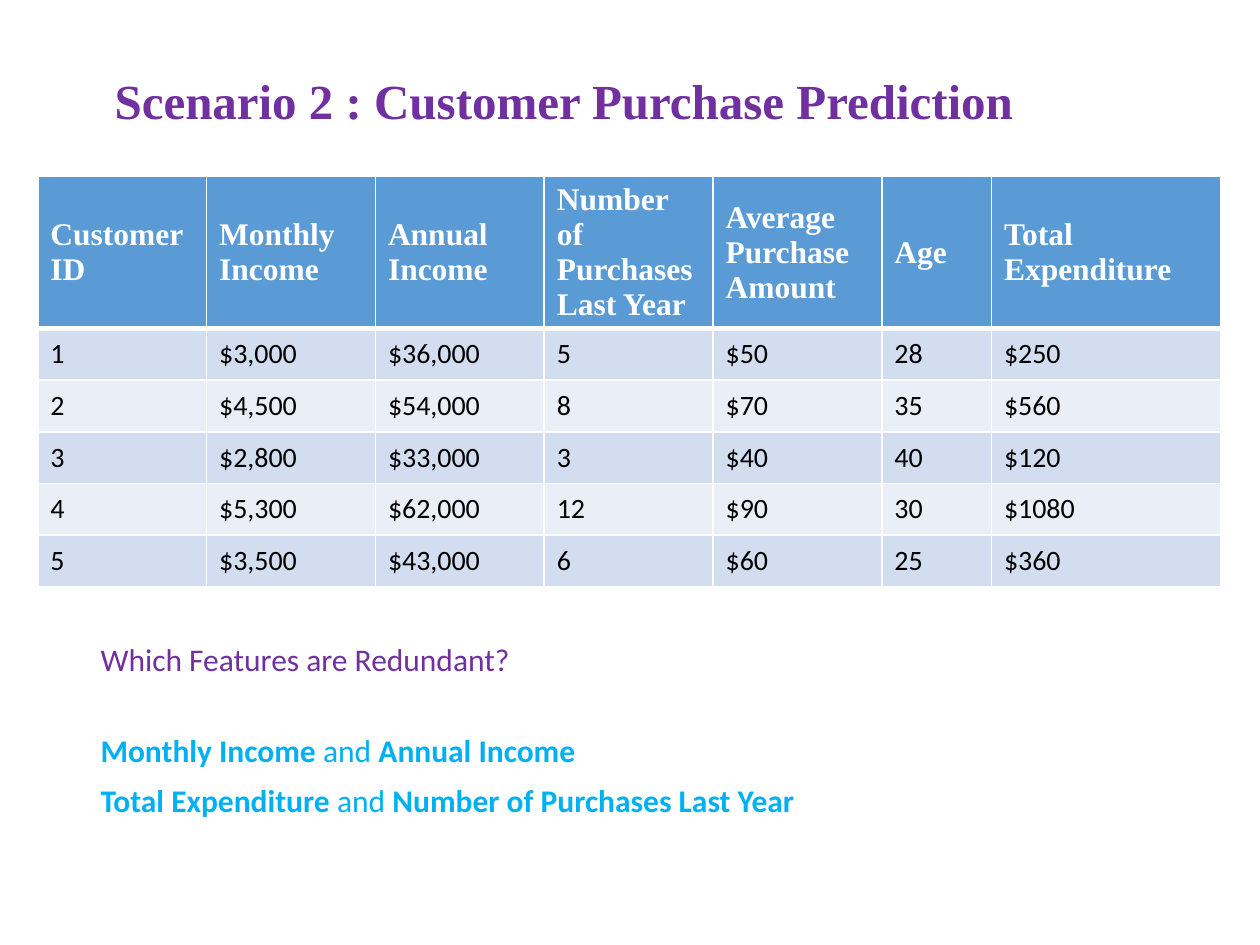
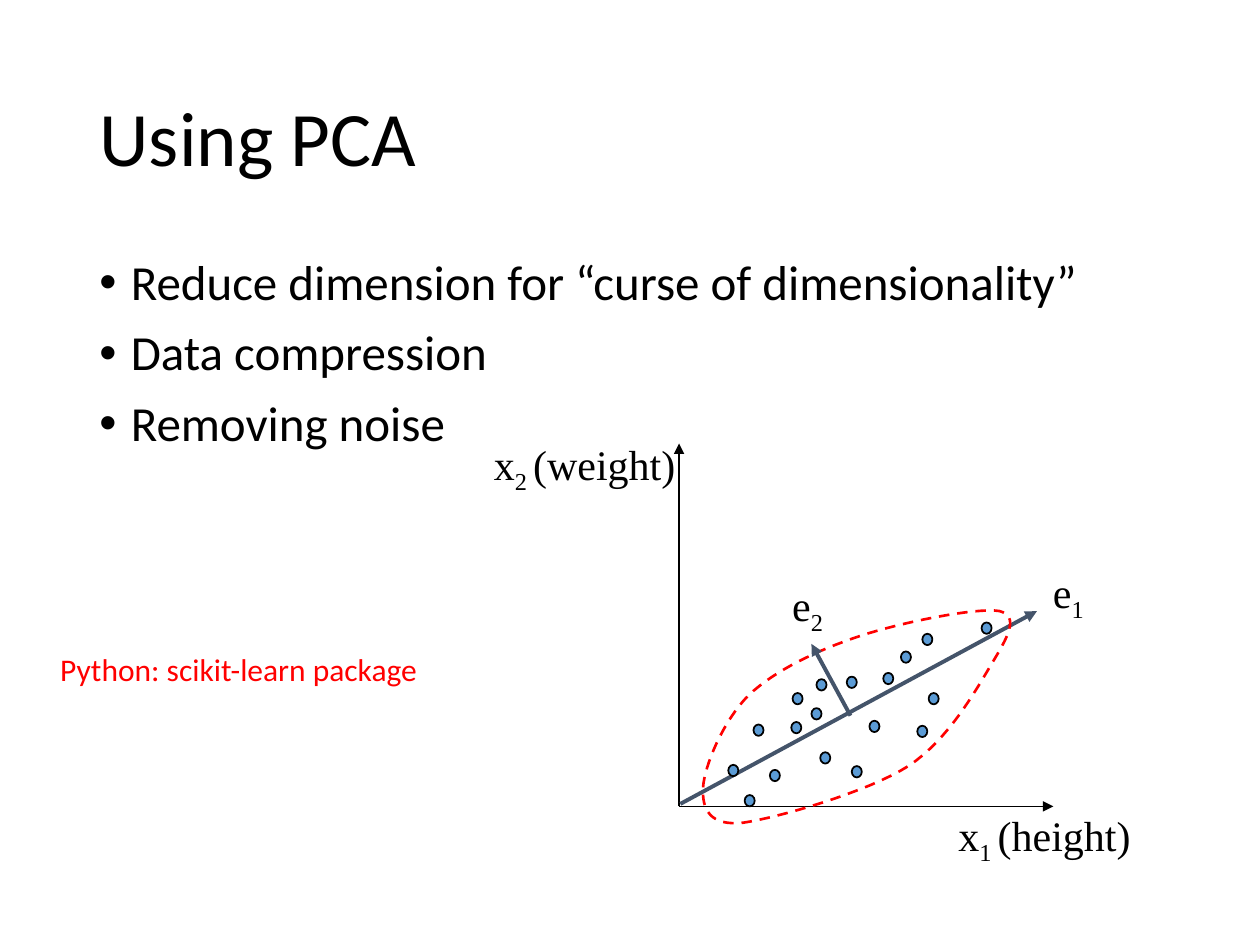
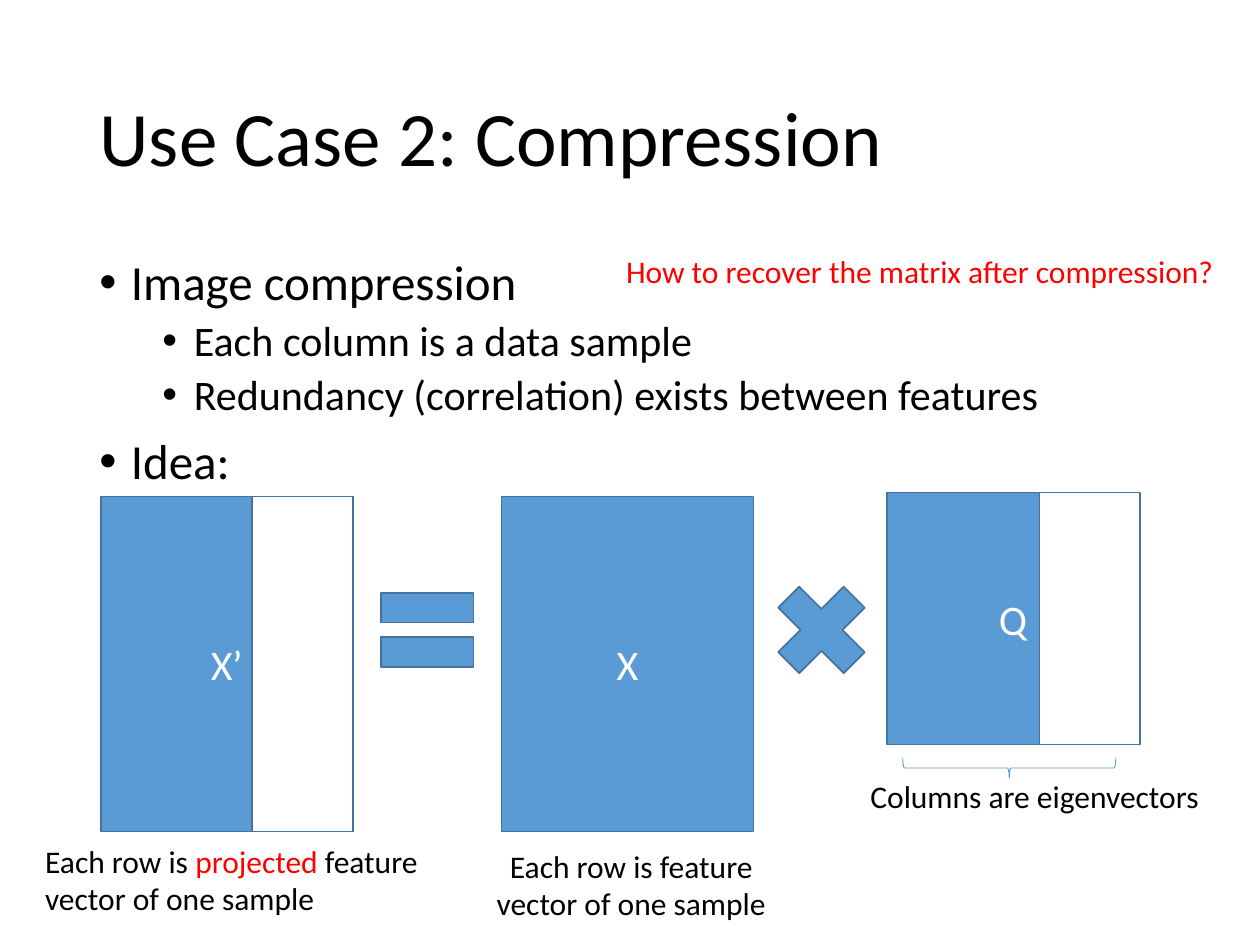
import pptx
import pptx.chart.data
import pptx.dml.color
import pptx.enum.dml
import pptx.enum.shapes
import pptx.enum.text
import pptx.oxml.ns
import pptx.util
from lxml import etree
from pptx.util import Inches

SANS = "Calibri"
SERIF = "Times New Roman"
BLACK = "000000"
WHITE = "FFFFFF"
RED = "FF0000"
PURPLE = "7030A0"
CYAN = "00B0F0"
BLUE = "5B9BD5"
BLUE_EDGE = "43739E"
SLATE = "44546A"
BANDS = ("D2DEEF", "EAEFF7")
SHAPES = pptx.enum.shapes.MSO_SHAPE
ALIGN = pptx.enum.text.PP_ALIGN
MIDDLE = pptx.enum.text.MSO_ANCHOR.MIDDLE

CUSTOMERS = [
    ("Customer ID", "Monthly Income", "Annual Income", "Number of Purchases Last Year",
     "Average Purchase Amount", "Age", "Total Expenditure"),
    ("1", "$3,000", "$36,000", "5", "$50", "28", "$250"),
    ("2", "$4,500", "$54,000", "8", "$70", "35", "$560"),
    ("3", "$2,800", "$33,000", "3", "$40", "40", "$120"),
    ("4", "$5,300", "$62,000", "12", "$90", "30", "$1080"),
    ("5", "$3,500", "$43,000", "6", "$60", "25", "$360"),
]
CUSTOMER_WIDTHS = (1.34, 1.34, 1.34, 1.34, 1.34, 0.87, 1.82)

SAMPLES = [
    (5.98, 5.75), (6.29, 5.5), (5.78, 6.07), (6.44, 5.62), (6.28, 5.73), (6.9, 5.72),
    (6.76, 6.08), (6.51, 5.97), (6.72, 5.37), (7.37, 5.5), (7.79, 4.94), (6.11, 6.11),
    (7.01, 5.34), (7.32, 5.03), (6.48, 5.39), (7.15, 5.17), (7.28, 5.76), (5.91, 6.31),
]
CLOUD_START = (5.58, 6.25)
CLOUD_CURVES = [
    ((5.59, 6.08), (5.74, 5.72), (5.94, 5.52)),
    ((6.15, 5.32), (6.49, 5.16), (6.82, 5.05)),
    ((7.15, 4.94), (7.75, 4.82), (7.93, 4.85)),
    ((8.1, 4.89), (7.99, 5.07), (7.87, 5.27)),
    ((7.75, 5.47), (7.53, 5.87), (7.21, 6.08)),
    ((6.88, 6.29), (6.17, 6.49), (5.9, 6.53)),
    ((5.63, 6.56), (5.57, 6.42), CLOUD_START),
]


def colour(value):
    return pptx.dml.color.RGBColor.from_string(value)


def add_xml(parent, tag, **attributes):
    return etree.SubElement(parent, pptx.oxml.ns.qn(tag), attributes)


def format_span(span, size, shade, font=SANS, bold=False):
    span.font.size = pptx.util.Pt(size)
    span.font.name = font
    span.font.bold = bold
    span.font.color.rgb = colour(shade)


def format_paragraph(para, size, shade, font=SANS, bold=False):
    for span in para.runs:
        format_span(span, size, shade, font, bold)


def add_titled_slide(deck, text, area=(0.69, 0.4, 8.62, 1.45), size=44,
                     shade=BLACK, font=SANS, bold=False):
    page = deck.slides.add_slide(deck.slide_layouts[5])
    title = page.shapes.title
    title.left, title.top, title.width, title.height = map(Inches, area)
    frame = title.text_frame
    frame.text = text
    frame.auto_size = pptx.enum.text.MSO_AUTO_SIZE.NONE
    frame.vertical_anchor = MIDDLE
    para = frame.paragraphs[0]
    para.alignment = ALIGN.LEFT
    para.line_spacing = 0.9
    format_paragraph(para, size, shade, font, bold)
    return page


def add_text(page, area, text, shade=BLACK, wrap=False, align=ALIGN.LEFT):
    box = page.shapes.add_textbox(*map(Inches, area))
    frame = box.text_frame
    frame.word_wrap = wrap
    frame.text = text
    para = frame.paragraphs[0]
    para.alignment = align
    format_paragraph(para, 18, shade)
    return para


def add_spans(para, spans, font=SANS):
    for text, shade, bold in spans:
        span = para.add_run()
        span.text = text
        format_span(span, 18, shade, font, bold)


def add_symbol(page, area, letter, index, note=""):
    box = page.shapes.add_textbox(*map(Inches, area))
    frame = box.text_frame
    frame.word_wrap = False
    frame.vertical_anchor = MIDDLE
    para = frame.paragraphs[0]
    para.alignment = ALIGN.CENTER
    for text in filter(None, (letter, index, note)):
        span = para.add_run()
        span.text = text
        format_span(span, 24, BLACK, SERIF)
    para.runs[1].font._element.set("baseline", "-25000")


def add_bullets(page, items):
    box = page.shapes.add_textbox(*map(Inches, (0.69, 2, 8.62, 4.76)))
    frame = box.text_frame
    frame.word_wrap = True
    frame.text = "\n".join(text for text, level in items)
    for number, (para, (text, level)) in enumerate(zip(frame.paragraphs, items)):
        properties = para._p.get_or_add_pPr()
        properties.set("marL", str(Inches(0.25 + 0.5 * level)))
        properties.set("indent", str(Inches(-0.25)))
        add_xml(properties, "a:buFont", typeface="Arial")
        add_xml(properties, "a:buChar", char="•")
        para.level = level
        para.line_spacing = 0.9
        if number:
            para.space_before = pptx.util.Pt(5 if level else 10)
        format_paragraph(para, 24 if level else 28, BLACK)


def add_shape(page, kind, area, fill=BLUE, edge=BLUE_EDGE, weight=1, text=""):
    shape = page.shapes.add_shape(kind, *map(Inches, area))
    shape.shadow.inherit = False
    if fill:
        shape.fill.solid()
        shape.fill.fore_color.rgb = colour(fill)
    else:
        shape.fill.background()
    shape.line.color.rgb = colour(edge)
    shape.line.width = pptx.util.Pt(weight)
    if text:
        shape.text_frame.text = text
        shape.text_frame.vertical_anchor = MIDDLE
        para = shape.text_frame.paragraphs[0]
        para.alignment = ALIGN.CENTER
        format_paragraph(para, 24, WHITE)
    return shape


def add_arrow(page, start, end, shade=BLACK, weight=1):
    arrow = page.shapes.add_connector(
        pptx.enum.shapes.MSO_CONNECTOR.STRAIGHT, *map(Inches, start + end))
    arrow.line.color.rgb = colour(shade)
    arrow.line.width = pptx.util.Pt(weight)
    add_xml(arrow.line._get_or_add_ln(), "a:tailEnd", type="triangle")
    add_xml(arrow._element.spPr, "a:effectLst")


def curve_points(start, curves, steps=16):
    for first, second, end in curves:
        for step in range(1, steps + 1):
            t = step / steps
            weights = ((1 - t) ** 3, 3 * t * (1 - t) ** 2, 3 * t * t * (1 - t), t ** 3)
            corners = (start, first, second, end)
            yield tuple(Inches(sum(w * corner[axis] for w, corner in zip(weights, corners)))
                        for axis in (0, 1))
        start = end


def add_cloud_outline(page):
    builder = page.shapes.build_freeform(*map(Inches, CLOUD_START))
    builder.add_line_segments(list(curve_points(CLOUD_START, CLOUD_CURVES)), close=True)
    outline = builder.convert_to_shape()
    outline.shadow.inherit = False
    outline.fill.background()
    outline.line.color.rgb = colour(RED)
    outline.line.width = pptx.util.Pt(1.5)
    outline.line.dash_style = pptx.enum.dml.MSO_LINE.DASH


def add_cell_borders(cell, row):
    properties = cell._tc.get_or_add_tcPr()
    weights = {"L": 1, "R": 1, "T": 3 if row == 1 else 1, "B": 3 if row == 0 else 1}
    for side, weight in weights.items():
        border = add_xml(properties, "a:ln" + side, w=str(pptx.util.Pt(weight)))
        add_xml(add_xml(border, "a:solidFill"), "a:srgbClr", val=WHITE)


def add_customer_table(page):
    frame = page.shapes.add_table(len(CUSTOMERS), len(CUSTOMER_WIDTHS),
                                  *map(Inches, (0.3, 1.4, 9.4, 3.24)))
    table = frame.table
    for column, width in zip(table.columns, CUSTOMER_WIDTHS):
        column.width = Inches(width)
    for row, values in enumerate(CUSTOMERS):
        table.rows[row].height = Inches(0.41 if row else 1.19)
        for column, value in enumerate(values):
            cell = table.cell(row, column)
            cell.text = value
            cell.vertical_anchor = MIDDLE
            add_cell_borders(cell, row)
            cell.fill.solid()
            cell.fill.fore_color.rgb = colour(BANDS[(row - 1) % 2] if row else BLUE)
            para = cell.text_frame.paragraphs[0]
            if row:
                format_paragraph(para, 16, BLACK)
            else:
                format_paragraph(para, 18, WHITE, SERIF, True)


def build_scenario(deck):
    page = add_titled_slide(deck, "Scenario 2 : Customer Purchase Prediction",
                            (0.81, 0.26, 8.62, 1.13), 28, PURPLE, SERIF, True)
    add_customer_table(page)
    add_text(page, (0.7, 5.03, 5.64, 0.4), "Which Features are Redundant?", PURPLE, True)
    pairs = [
        ((0.7, 5.75, 4, 0.4), "Monthly Income", "Annual Income"),
        ((0.7, 6.15, 5.76, 0.71), "Total Expenditure", "Number of Purchases Last Year"),
    ]
    for area, first, second in pairs:
        para = add_text(page, area, "")
        add_spans(para, [(first, CYAN, True), (" and ", CYAN, False), (second, CYAN, True)])


def build_pca(deck):
    page = add_titled_slide(deck, "Using PCA")
    add_bullets(page, [("Reduce dimension for “curse of dimensionality”", 0),
                       ("Data compression", 0), ("Removing noise", 0)])
    origin = (5.39, 6.4)
    add_arrow(page, origin, (5.39, 3.52))
    add_arrow(page, origin, (8.36, 6.4))
    add_arrow(page, (5.4, 6.38), (8.23, 4.85), SLATE, 2.25)
    for left, top in SAMPLES:
        add_shape(page, SHAPES.OVAL, (left, top, 0.08, 0.09), edge=BLACK)
    add_cloud_outline(page)
    add_arrow(page, (6.75, 5.68), (6.44, 5.11), SLATE, 2.25)
    add_symbol(page, (3.8, 3.45, 1.68, 0.51), "x", "2 ", "(weight)")
    add_symbol(page, (7.49, 6.4, 1.6, 0.5), "x", "1 ", "(height)")
    add_symbol(page, (8.25, 4.47, 0.46, 0.5), "e", "1")
    add_symbol(page, (6.18, 4.57, 0.46, 0.51), "e", "2")
    add_text(page, (0.38, 5.11, 3.07, 0.4), "Python: scikit-learn package", RED)


def build_compression(deck):
    page = add_titled_slide(deck, "Use Case 2: Compression")
    add_bullets(page, [("Image compression", 0), ("Each column is a data sample", 1),
                       ("Redundancy (correlation) exists between features", 1),
                       ("Idea:", 0)])
    matrices = [("X’", 0.8, 3.94, 2.66), ("X", 3.98, 3.94, 2.66), ("Q", 7.04, 3.91, 2)]
    for name, left, top, height in matrices:
        add_shape(page, SHAPES.RECTANGLE, (left, top, 2, height), text=name)
    add_shape(page, SHAPES.MATH_MULTIPLY, (6.02, 4.5, 1, 1))
    add_shape(page, SHAPES.MATH_EQUAL, (2.89, 4.5, 1, 1))
    for area in ((8.25, 3.91, 0.8, 2), (2, 3.94, 0.8, 2.66)):
        add_shape(page, SHAPES.RECTANGLE, area, fill=WHITE)
    brace = add_shape(page, SHAPES.LEFT_BRACE, (7.93, 5.25, 0.16, 1.69), None, BLUE, 0.5)
    brace.rotation = 270
    add_text(page, (6.81, 6.12, 2.84, 0.4), "Columns are eigenvectors")
    add_text(page, (3.8, 6.67, 2.42, 0.71), "Each row is feature vector of one sample",
             wrap=True, align=ALIGN.CENTER)
    projected = add_text(page, (0.26, 6.63, 3.2, 0.71), "", wrap=True)
    add_spans(projected, [("Each row is ", BLACK, False), ("projected", RED, False),
                          (" feature vector of one sample", BLACK, False)])
    add_text(page, (4.87, 1.95, 4.92, 0.4),
             "How to recover the matrix after compression?", RED)


def main():
    deck = pptx.Presentation()
    deck.slide_width = Inches(10)
    deck.slide_height = Inches(7.5)
    build_scenario(deck)
    build_pca(deck)
    build_compression(deck)
    deck.save("out.pptx")


if __name__ == "__main__":
    main()
